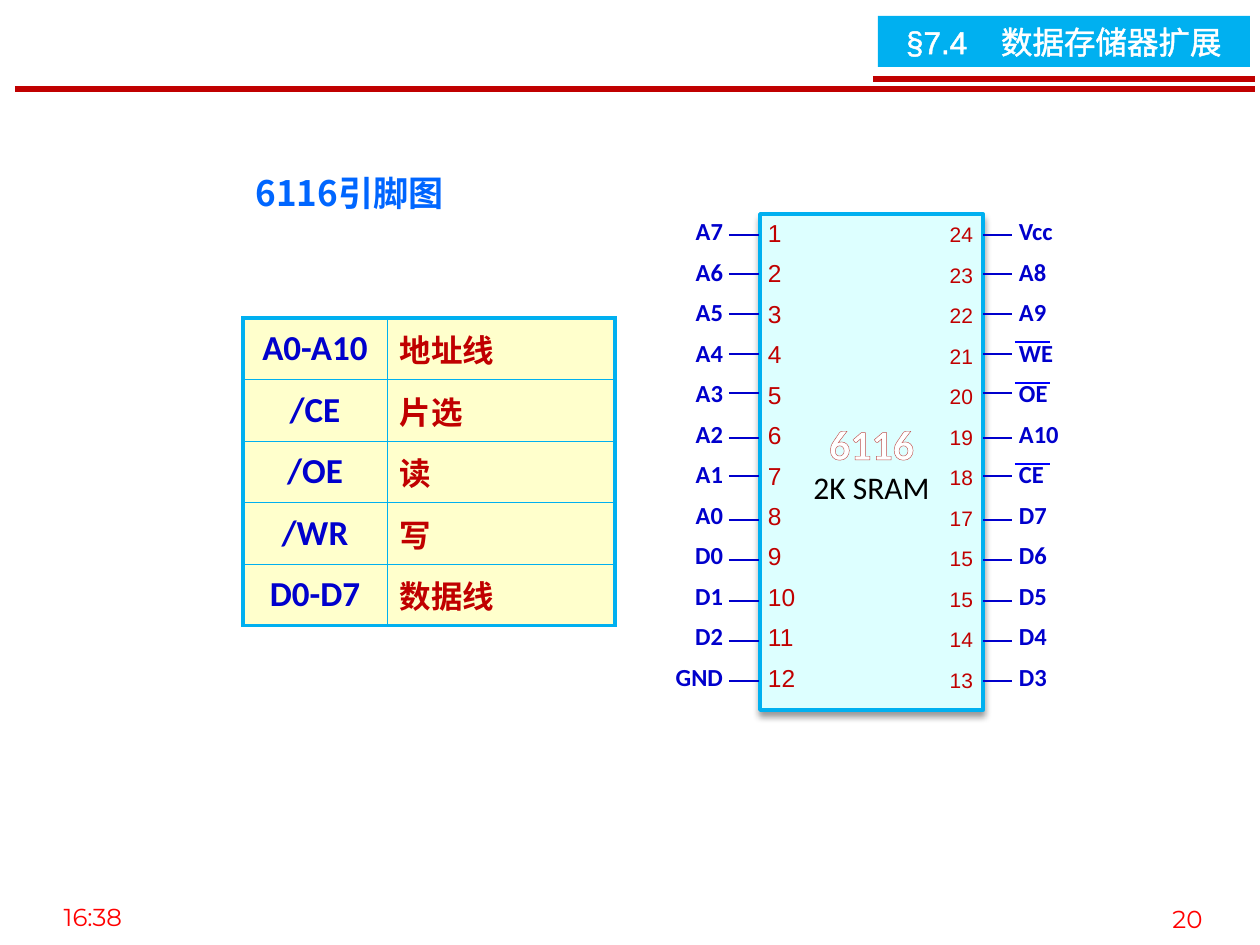
import pptx
import pptx.util
import pptx.dml.color
import pptx.enum.shapes
import pptx.enum.text
import pptx.oxml.ns
from lxml import etree

RGB = pptx.dml.color.RGBColor
Pt = pptx.util.Pt
qn = pptx.oxml.ns.qn
ALIGN = pptx.enum.text.PP_ALIGN
MIDDLE = pptx.enum.text.MSO_ANCHOR.MIDDLE

WHITE = RGB(0xFF, 0xFF, 0xFF)
BLACK = RGB(0x00, 0x00, 0x00)
RED = RGB(0xFF, 0x00, 0x00)
DARK_RED = RGB(0xC0, 0x00, 0x00)
OUTLINE_RED = RGB(0xC0, 0x50, 0x4D)
SKY = RGB(0x00, 0xB0, 0xF0)
PALE_CYAN = RGB(0xDD, 0xFF, 0xFF)
CREAM = RGB(0xFF, 0xFF, 0xCC)
NAVY = RGB(0x00, 0x00, 0xCC)
BLUE = RGB(0x00, 0x00, 0xFF)
TITLE_BLUE = RGB(0x00, 0x66, 0xFF)

CJK = "Noto Sans CJK SC"
PLAIN_TABLE = "{2D5ABB26-0587-4C30-8999-92F81FD0307C}"


def px(length):
    return round(length * 914400 / 126)


def solid_line(tag, color, width):
    line = etree.Element(qn(tag), w=str(Pt(width)))
    fill = etree.SubElement(line, qn("a:solidFill"))
    etree.SubElement(fill, qn("a:srgbClr"), val=str(color))
    return line


def write(paragraph, text, size=14, font="Calibri", color=BLACK, bold=False,
          align=ALIGN.LEFT, spacing=None, outline=None, tab=None):
    paragraph.alignment = align
    if spacing:
        paragraph.line_spacing = Pt(spacing)
    if tab:
        stops = etree.SubElement(paragraph._p.get_or_add_pPr(), qn("a:tabLst"))
        etree.SubElement(stops, qn("a:tab"), pos=str(px(tab)), algn="l")
    run = paragraph.add_run()
    run.text = text
    run.font.size = Pt(size)
    run.font.name = font
    run.font.bold = bold
    run.font.color.rgb = color
    properties = run.font._element
    properties.find(qn("a:latin")).addnext(
        etree.Element(qn("a:ea"), typeface=CJK))
    if outline:
        properties.insert(0, solid_line("a:ln", *outline))


class SlideBuilder:
    def __init__(self, slide):
        self.shapes = slide.shapes

    def text(self, left, top, width, height, text, **style):
        box = self.shapes.add_textbox(px(left), px(top), px(width), px(height))
        box.text_frame.word_wrap = True
        write(box.text_frame.paragraphs[0], text, **style)

    def line(self, x1, y1, x2, y2, color, width):
        line = self.shapes.add_connector(
            pptx.enum.shapes.MSO_CONNECTOR.STRAIGHT,
            px(x1), px(y1), px(x2), px(y2))
        line.line.color.rgb = color
        line.line.width = Pt(width)
        etree.SubElement(line._element.spPr, qn("a:effectLst"))

    def rectangle(self, left, top, width, height, fill, border=None):
        rectangle = self.shapes.add_shape(
            pptx.enum.shapes.MSO_SHAPE.RECTANGLE,
            px(left), px(top), px(width), px(height))
        rectangle.shadow.inherit = False
        rectangle.fill.solid()
        rectangle.fill.fore_color.rgb = fill
        if border:
            rectangle.line.color.rgb = border
            rectangle.line.width = Pt(2)
        else:
            rectangle.line.fill.background()
        rectangle.text_frame.word_wrap = True
        rectangle.text_frame.vertical_anchor = MIDDLE
        return rectangle

    def drop_shadow(self, shape):
        effects = shape._element.spPr.find(qn("a:effectLst"))
        shadow = etree.SubElement(
            effects, qn("a:outerShdw"), blurRad=str(Pt(4)), dist=str(Pt(3)),
            dir="5400000", rotWithShape="0")
        color = etree.SubElement(shadow, qn("a:srgbClr"), val=str(BLACK))
        etree.SubElement(color, qn("a:alpha"), val="40000")

    def table(self, left, top, widths, height, rows, styles, insets=None,
              fill=None, border=None):
        frame = self.shapes.add_table(
            len(rows), len(widths), px(left), px(top), px(sum(widths)), px(height))
        next(frame._element.iter(qn("a:tableStyleId"))).text = PLAIN_TABLE
        table = frame.table
        table.first_row = table.horz_banding = False
        for column, width in zip(table.columns, widths):
            column.width = px(width)
        for r, row in enumerate(rows):
            table.rows[r].height = px(height / len(rows))
            for c, value in enumerate(row):
                cell = table.cell(r, c)
                cell.vertical_anchor = MIDDLE
                if insets:
                    cell.margin_left, cell.margin_right = map(px, insets)
                    cell.margin_top = cell.margin_bottom = 0
                write(cell.text_frame.paragraphs[0], value, **styles[c])
                if border:
                    edges = {"a:lnL": c == 0, "a:lnR": c == len(widths) - 1,
                             "a:lnT": r == 0, "a:lnB": r == len(rows) - 1}
                    for tag, outer in edges.items():
                        cell._tc.get_or_add_tcPr().append(
                            solid_line(tag, border, 2.25 if outer else 0.5))
                if fill:
                    cell.fill.solid()
                    cell.fill.fore_color.rgb = fill
                else:
                    cell.fill.background()


def main():
    deck = pptx.Presentation()
    deck.slide_width, deck.slide_height = px(1260), px(945)
    page = SlideBuilder(deck.slides.add_slide(deck.slide_layouts[6]))

    # Footer and section header
    footer = dict(font="Montserrat", color=RED, align=ALIGN.CENTER)
    page.text(29, 896, 128, 44, "16:38", **footer)
    page.text(1141, 898, 93, 44, "20", **footer)
    page.line(15, 89, 1255, 89, DARK_RED, 3)
    section = page.rectangle(878, 16, 372, 51, SKY)
    section.text_frame.margin_left = px(28)
    section.text_frame.margin_right = 0
    write(section.text_frame.paragraphs[0], "§7.4\t数据存储器扩展", size=18,
          font="Arial", color=WHITE, outline=(WHITE, 1.45), tab=95)
    page.line(873, 79, 1255, 79, DARK_RED, 3)

    # Chip body
    chip = page.rectangle(760, 214, 223, 496, PALE_CYAN, SKY)
    page.drop_shadow(chip)
    write(chip.text_frame.paragraphs[0], "6116", size=24, color=WHITE, bold=True,
          align=ALIGN.CENTER, outline=(OUTLINE_RED, 0.52))
    write(chip.text_frame.add_paragraph(), "2K SRAM", size=18, align=ALIGN.CENTER)

    # Pin leads
    for y in (235, 274, 314, 354, 393, 438, 476, 520, 560, 601, 641, 681):
        page.line(729, y, 759, y, NAVY, 1.5)
        page.line(983, y, 1012, y, NAVY, 1.5)

    # Pin names and numbers: left edge, width, entries, side, style
    left_names = "A7 A6 A5 A4 A3 A2 A1 A0 D0 D1 D2 GND".split()
    right_names = "Vcc A8 A9 WE OE A10 CE D7 D6 D5 D4 D3".split()
    left_numbers = [str(n) for n in range(1, 13)]
    right_numbers = "24 23 22 21 20 19 18 17 15 15 14 13".split()
    name_style = dict(color=NAVY, bold=True)
    number_style = dict(font="Arial", color=DARK_RED)
    pin_columns = [
        (1014, 53, right_names, ALIGN.LEFT, name_style),
        (670, 58, left_names, ALIGN.RIGHT, name_style),
        (763, 38, left_numbers, ALIGN.LEFT, number_style),
        (940, 38, right_numbers, ALIGN.RIGHT, dict(number_style, size=12)),
    ]
    for left, width, entries, side, style in pin_columns:
        page.table(left, 214, [width], 486, [[entry] for entry in entries],
                   [dict(style, align=side, spacing=15)],
                   insets=(5, 0) if side == ALIGN.LEFT else (0, 5))

    # Bars over active-low pins
    for row, name in enumerate(right_names):
        if name in ("WE", "OE", "CE"):
            y = 221 + row * 81 // 2
            page.line(1015, y, 1050, y, BLUE, 1)

    # Signal meanings
    signals = [("A0-A10", "地址线"), ("/CE", "片选"), ("/OE", "读"),
               ("/WR", "写"), ("D0-D7", "数据线")]
    page.table(243, 318, [144, 228], 308, signals,
               [dict(size=20, color=NAVY, bold=True, align=ALIGN.CENTER),
                dict(size=18, font=CJK, color=DARK_RED, bold=True)],
               fill=CREAM, border=SKY)
    page.text(243, 165, 296, 55, "6116引脚图", size=20, font=CJK,
              color=TITLE_BLUE, bold=True)

    deck.save("out.pptx")


if __name__ == "__main__":
    main()
